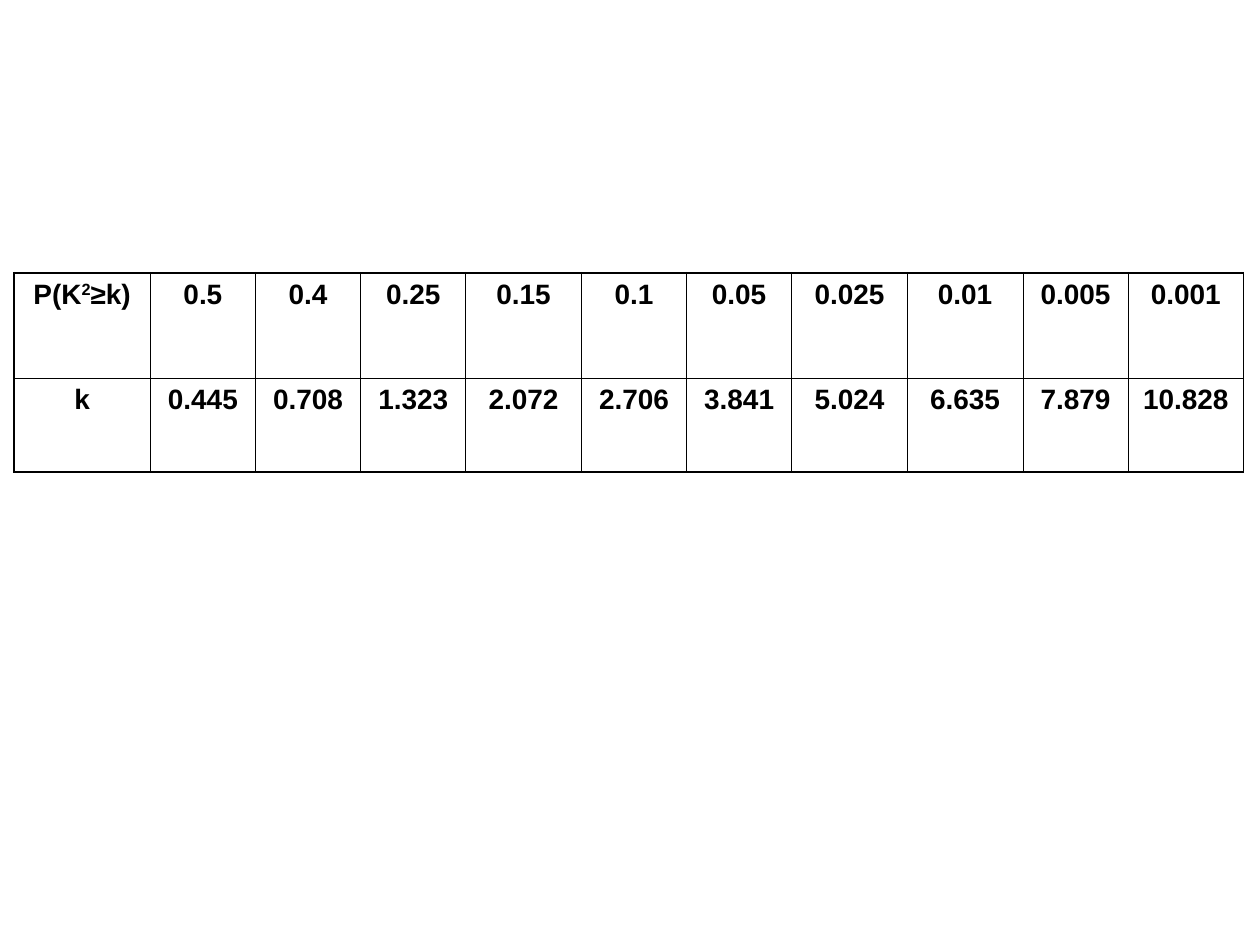
from dataclasses import dataclass

from lxml.etree import SubElement as Sub
from pptx import Presentation
from pptx.dml.color import RGBColor as Rgb
from pptx.enum.text import PP_ALIGN as Align
from pptx.oxml.ns import qn
from pptx.util import Cm, Pt


@dataclass(frozen=True)
class Theme:
    ink: str = "000000"
    font: str = "Arial"
    size: float = 16
    thick: float = 1.08
    thin: float = 0.45


THEME = Theme()
WIDE, SLIM = 2.33, 2.12
COLS = [2.75, SLIM, SLIM, SLIM, WIDE, SLIM, SLIM, WIDE, WIDE, SLIM, WIDE]
ROWS = [2.12, 1.9]

# Each cell is a list of (text, raised) runs or a plain string
HEAD = [("P(K", False), ("2", True), ("≥k)", False)]
DATA = [
    [HEAD, "0.5", "0.4", "0.25", "0.15", "0.1",
     "0.05", "0.025", "0.01", "0.005", "0.001"],
    ["k", "0.445", "0.708", "1.323", "2.072", "2.706",
     "3.841", "5.024", "6.635", "7.879", "10.828"],
]


def write(para, text, *, size=THEME.size, bold=True, color=THEME.ink, raised=False):
    """Add one formatted run to a paragraph."""
    run = para.add_run()
    run.text = text
    font = run.font
    font.name, font.size, font.bold = THEME.font, Pt(size), bold
    font.color.rgb = Rgb.from_string(color)
    if raised:
        font._element.set("baseline", "30000")


def edge(cell, side, width):
    """Draw one border of a cell."""
    line = Sub(cell._tc.get_or_add_tcPr(), qn(f"a:ln{side}"), w=str(Pt(width)))
    fill = Sub(line, qn("a:solidFill"))
    Sub(fill, qn("a:srgbClr"), val=THEME.ink)


def fill_cell(cell, item, outer):
    """Set borders, fill and text; outer names the sides on the table's rim."""
    for side in "LRTB":
        edge(cell, side, THEME.thick if side in outer else THEME.thin)
    cell.fill.background()
    para = cell.text_frame.paragraphs[0]
    para.alignment = Align.CENTER
    runs = [(item, False)] if isinstance(item, str) else item
    for text, raised in runs:
        write(para, text, raised=raised)


def add_grid(slide, left, top):
    """Add the table of critical values."""
    frame = slide.shapes.add_table(len(ROWS), len(COLS), Cm(left), Cm(top),
                                   Cm(sum(COLS)), Cm(sum(ROWS)))
    grid = frame.table
    grid.first_row = grid.horz_banding = False
    for col, width in zip(grid.columns, COLS):
        col.width = Cm(width)
    for row, height in zip(grid.rows, ROWS):
        row.height = Cm(height)
    for r, items in enumerate(DATA):
        for c, item in enumerate(items):
            rim = {"L": c == 0, "R": c == len(COLS) - 1,
                   "T": r == 0, "B": r == len(ROWS) - 1}
            fill_cell(grid.cell(r, c), item, [s for s in rim if rim[s]])


def main():
    deck = Presentation()
    deck.slide_width, deck.slide_height = Cm(25.4), Cm(19.05)
    slide = deck.slides.add_slide(deck.slide_layouts[6])
    add_grid(slide, 0.28, 5.5)
    deck.save("out.pptx")


if __name__ == "__main__":
    main()
